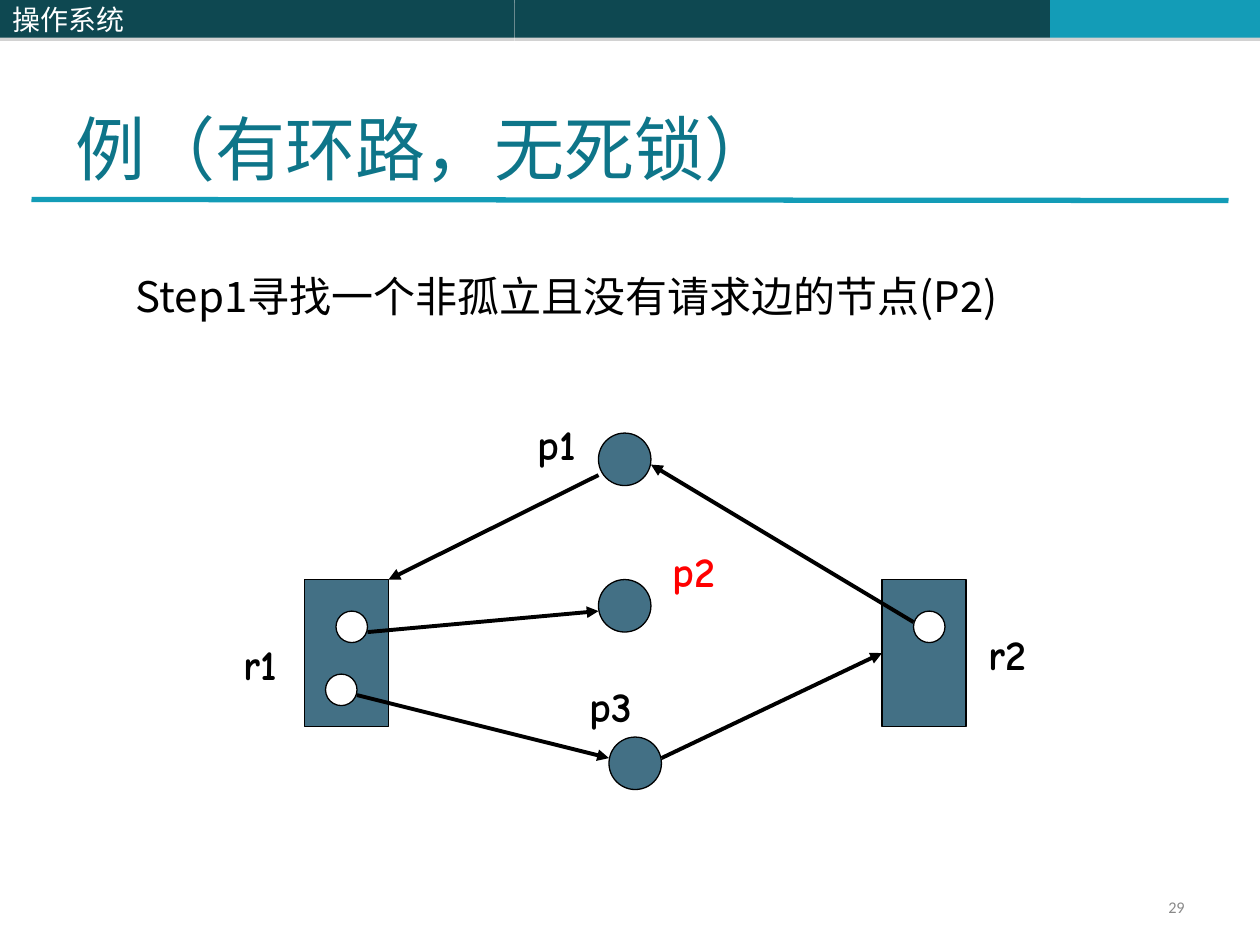
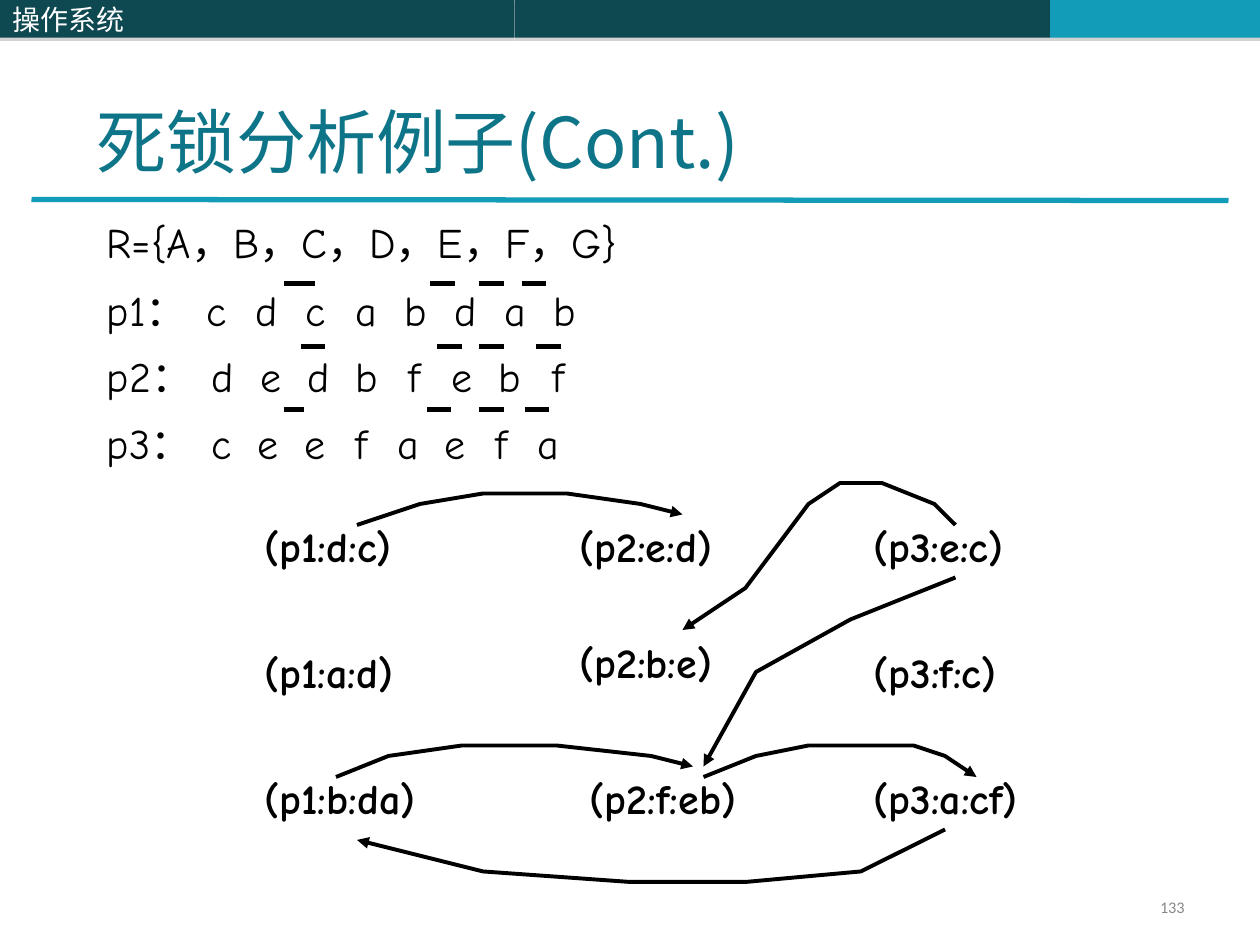
"""Build two slides on deadlock analysis, laid out on a grid of 120 columns by 90 rows."""
from lxml import etree
from pptx import Presentation
from pptx.dml.color import RGBColor
from pptx.enum.shapes import MSO_CONNECTOR, MSO_SHAPE
from pptx.enum.text import MSO_ANCHOR, PP_ALIGN
from pptx.oxml.ns import qn
from pptx.util import Inches, Pt

RECT, OVAL = MSO_SHAPE.RECTANGLE, MSO_SHAPE.OVAL
LINE = MSO_CONNECTOR.STRAIGHT
TOP, MIDDLE, BOTTOM = MSO_ANCHOR.TOP, MSO_ANCHOR.MIDDLE, MSO_ANCHOR.BOTTOM
LEFT, RIGHT = PP_ALIGN.LEFT, PP_ALIGN.RIGHT

DARK = RGBColor(0x0E, 0x48, 0x51)
TEAL = RGBColor(0x13, 0x9C, 0xB7)
TITLE = RGBColor(0x0E, 0x75, 0x89)
STEEL = RGBColor(0x43, 0x70, 0x85)
GRAY = RGBColor(0x89, 0x89, 0x89)
BLACK = RGBColor(0, 0, 0)
WHITE = RGBColor(255, 255, 255)
RED = RGBColor(255, 0, 0)
HAN, COMIC, PLAIN = "Noto Sans CJK SC", "Comic Neue", "Calibri"

deck = Presentation()
deck.slide_width, deck.slide_height = Inches(10), Inches(7.5)
UNIT = deck.slide_width // 120


def grid(*cells):
    """Turn grid counts into lengths."""
    return [round(UNIT * cell) for cell in cells]


def write(shape, text, font=COMIC, size=24, color=BLACK, bold=False,
          align=LEFT, anchor=TOP, lead=None, gap=0):
    """Put formatted text into a shape, one paragraph a line."""
    frame = shape.text_frame
    frame.word_wrap, frame.vertical_anchor = True, anchor
    for i, line in enumerate(text.split("\n")):
        para = frame.add_paragraph() if i else frame.paragraphs[0]
        para.alignment = align
        if lead:
            para.line_spacing = lead
        if i:
            para.space_before = Pt(gap)
        run = para.add_run()
        run.text = line
        run.font.name, run.font.size, run.font.bold = font, Pt(size), bold
        run.font.color.rgb = color
        east = etree.SubElement(run.font._element, qn("a:ea"))
        east.set("typeface", HAN)
    return frame


strokes = []
pages = []
heads = [
    ("例（有环路，无死锁）", (6, 3.6, 108, 15), "29"),
    ("死锁分析例子(Cont.)", (8, 3, 102, 15), "133"),
]
for title, place, number in heads:
    page = deck.slides.add_slide(deck.slide_layouts[6]).shapes
    pages.append(page)
    for left, width, color in [(49, 51, DARK), (100, 20, TEAL), (0, 49, DARK)]:
        band = page.add_shape(RECT, *grid(left, 0, width, 3.6))
        band.fill.solid()
        band.fill.fore_color.rgb = color
        band.line.fill.background()
        band.shadow.inherit = False
        effect = band._element.spPr.find(qn("a:effectLst"))
        shade = etree.SubElement(effect, qn("a:outerShdw"), dist=str(Pt(1.8)), dir="5400000")
        tint = etree.SubElement(shade, qn("a:srgbClr"), val="808080")
        etree.SubElement(tint, qn("a:alpha"), val="35000")
    write(band, "操作系统", font=HAN, size=16, color=WHITE, anchor=MIDDLE)
    rule = page.add_connector(LINE, *grid(3, 19, 117, 19.1))
    strokes.append((rule, 3, TEAL, False))
    write(page.add_textbox(*grid(86, 85, 28, 3.2)), number, font=PLAIN, size=9.3,
          color=GRAY, align=RIGHT, anchor=MIDDLE, lead=0.8)
    write(page.add_textbox(*grid(*place)), title, font=HAN, size=40,
          color=TITLE, anchor=BOTTOM)

graph, trace = pages

nodes = [
    (RECT, 29, 55.2, 8, 14, STEEL),
    (OVAL, 32, 58.2, 3, 3, WHITE),
    (OVAL, 31, 64.2, 3, 3, WHITE),
    (OVAL, 57, 41.25, 5, 5, STEEL),
    (OVAL, 57, 55.2, 5, 5, STEEL),
    (OVAL, 58, 70.2, 5, 5, STEEL),
    (RECT, 84, 55.2, 8, 14, STEEL),
    (OVAL, 87, 58.2, 3, 3, WHITE),
]
drawn = []
for kind, *place, color in nodes:
    node = graph.add_shape(kind, *grid(*place))
    node.fill.solid()
    node.fill.fore_color.rgb = color
    node.line.color.rgb, node.line.width = BLACK, Pt(0.75)
    node.shadow.inherit = False
    drawn.append(node)

names = [
    ("p1", 50, 39.25, 9, BLACK),
    ("p2", 62.9, 51.4, 7, RED),
    ("p3", 55, 64.2, 7, BLACK),
    ("r1", 22, 60.25, 8, BLACK),
    ("r2", 93, 59.25, 7, BLACK),
]
for name, left, top, width, color in names:
    write(graph.add_textbox(*grid(left, top, width, 6)), name, color=color, bold=True)
write(graph.add_textbox(*grid(11.75, 25.2, 87.8, 10.8)),
      "Step1寻找一个非孤立且没有请求边的节点(P2)", font=HAN)

edges = [
    (87, 59.25, 62, 44.25),
    (34, 66.2, 58, 72.2),
    (57, 45.25, 37, 55.2),
    (35, 60.2, 57, 58.2),
    (63, 72.2, 84, 62.2),
]
for ends in edges:
    edge = graph.add_connector(LINE, *grid(*ends))
    strokes.append((edge, 2.25, BLACK, True))
edge.end_connect(drawn[6], 1)

tasks = [
    ("p1：", "cdcabdab", 0.87, 0.395),
    ("p2：", "dedbfebf", 0.92, 0.38),
    ("p3：", "ceefaefa", 0.91, 0.37),
]
lines = ["R={A，B，C，D，E，F，G}"]
lines += [name + "\t" + "\t".join(steps) for name, steps, _, _ in tasks]
body = write(trace.add_textbox(*grid(9, 20.6, 104, 31.9)), "\n".join(lines),
             lead=0.8, gap=15)
body.paragraphs[0].line_spacing = 0.9
for para, (_, steps, first, pitch) in zip(body.paragraphs[1:], tasks):
    stops = etree.SubElement(para._p.get_or_add_pPr(), qn("a:tabLst"))
    for i in range(len(steps)):
        spot = str(Inches(first + i * pitch))
        etree.SubElement(stops, qn("a:tab"), pos=spot, algn="ctr")

dashes = [
    (27, [(27, 3), (41, 2.3), (45.6, 2.4), (49.7, 2.3)]),
    (33, [(28.7, 2.3), (41.65, 2.35), (45.6, 2.4), (51, 2.4)]),
    (39, [(27, 2), (40.7, 2.3), (45.6, 2.4), (50, 2.3)]),
]
for row, marks in dashes:
    for left, width in marks:
        dash = trace.add_connector(LINE, *grid(left, row, left + width, row))
        strokes.append((dash, 3, BLACK, False))

states = [
    ("(p1:d:c)", 24, 49, 17), ("(p1:a:d)", 24, 61, 17), ("(p1:b:da)", 24, 73, 19),
    ("(p2:e:d)", 54, 49, 17), ("(p2:b:e)", 54, 60, 17), ("(p2:f:eb)", 55, 73, 20),
    ("(p3:e:c)", 82, 49, 17), ("(p3:f:c)", 82, 61, 20), ("(p3:a:cf)", 82, 73, 22),
]
for state, left, top, width in states:
    write(trace.add_textbox(*grid(left, top, width, 6)), state, bold=True)

curves = [
    [(34, 50), (40, 48), (46, 47), (54, 47), (61, 48), (65, 49)],
    [(32, 74), (37, 72), (44, 71), (49, 71), (53, 71), (62, 72), (66, 73)],
    [(67, 74), (72, 72), (77, 71), (83, 71), (87, 71), (90, 72), (93, 74)],
    [(91, 50), (89, 48), (84, 46), (80, 46), (77, 48), (71, 56), (65, 60)],
    [(91, 55), (81, 59), (72, 64), (67, 73)],
    [(90, 79), (82, 83), (71, 84), (60, 84), (46, 83), (34, 80)],
]
for start, *rest in curves:
    pen = trace.build_freeform(*start, scale=UNIT)
    pen.add_line_segments(rest, close=False)
    curve = pen.convert_to_shape()
    curve.fill.background()
    strokes.append((curve, 2.25, BLACK, True))

for stroke, width, color, arrow in strokes:
    stroke.line.color.rgb, stroke.line.width = color, Pt(width)
    props = stroke._element.spPr
    if arrow:
        etree.SubElement(props.find(qn("a:ln")), qn("a:tailEnd"), type="triangle")
    etree.SubElement(props, qn("a:effectLst"))

deck.save("out.pptx")
